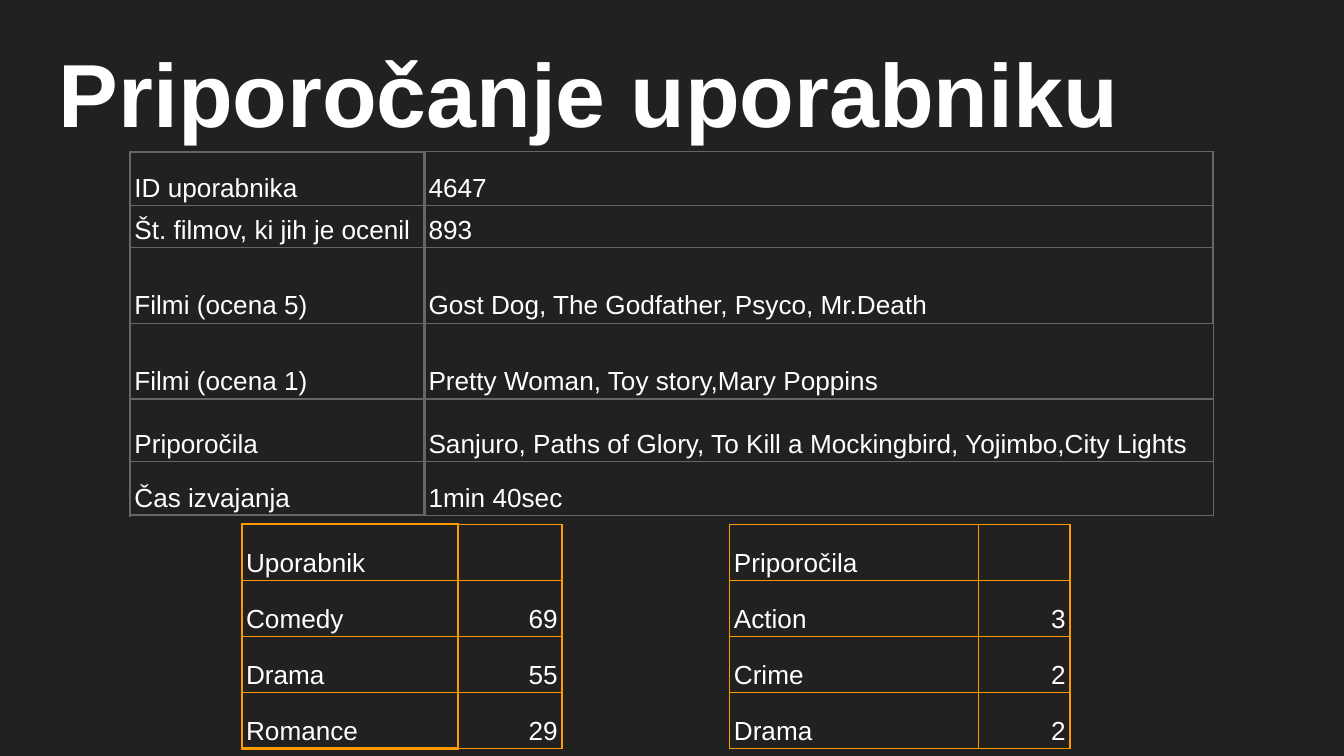
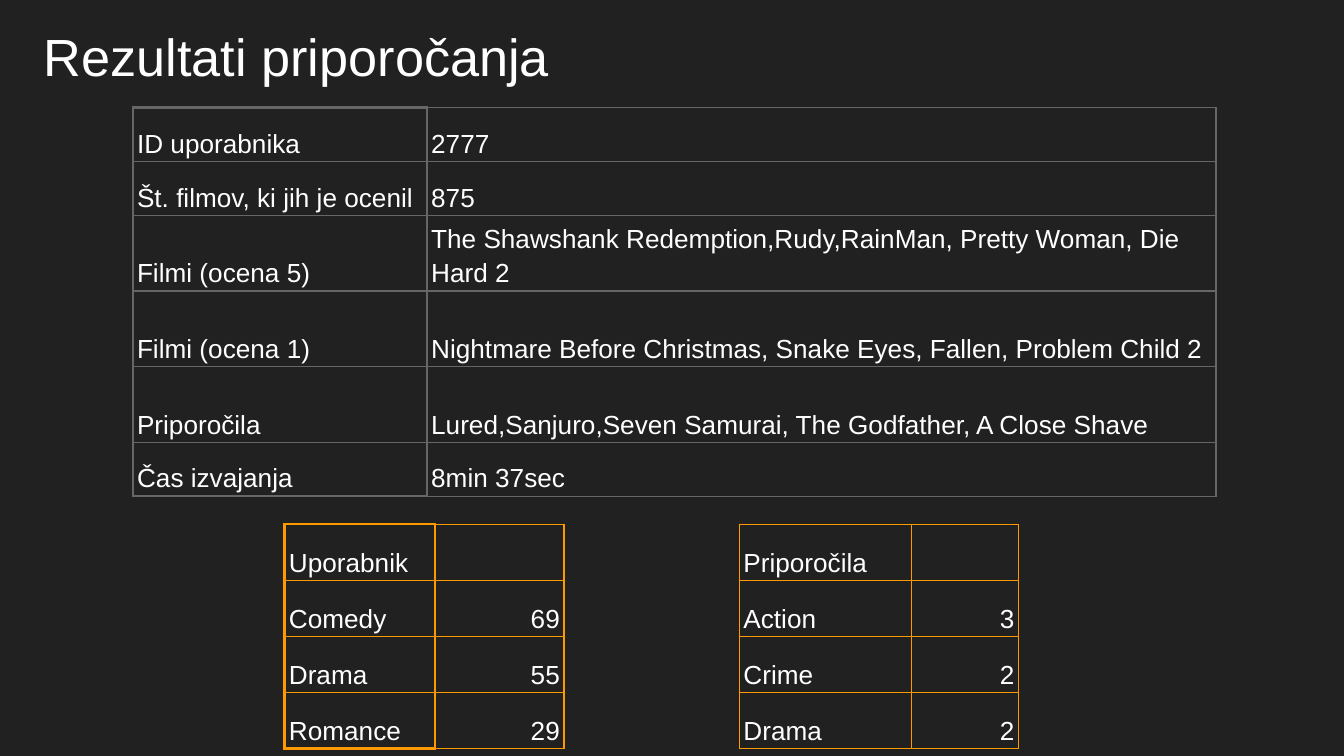
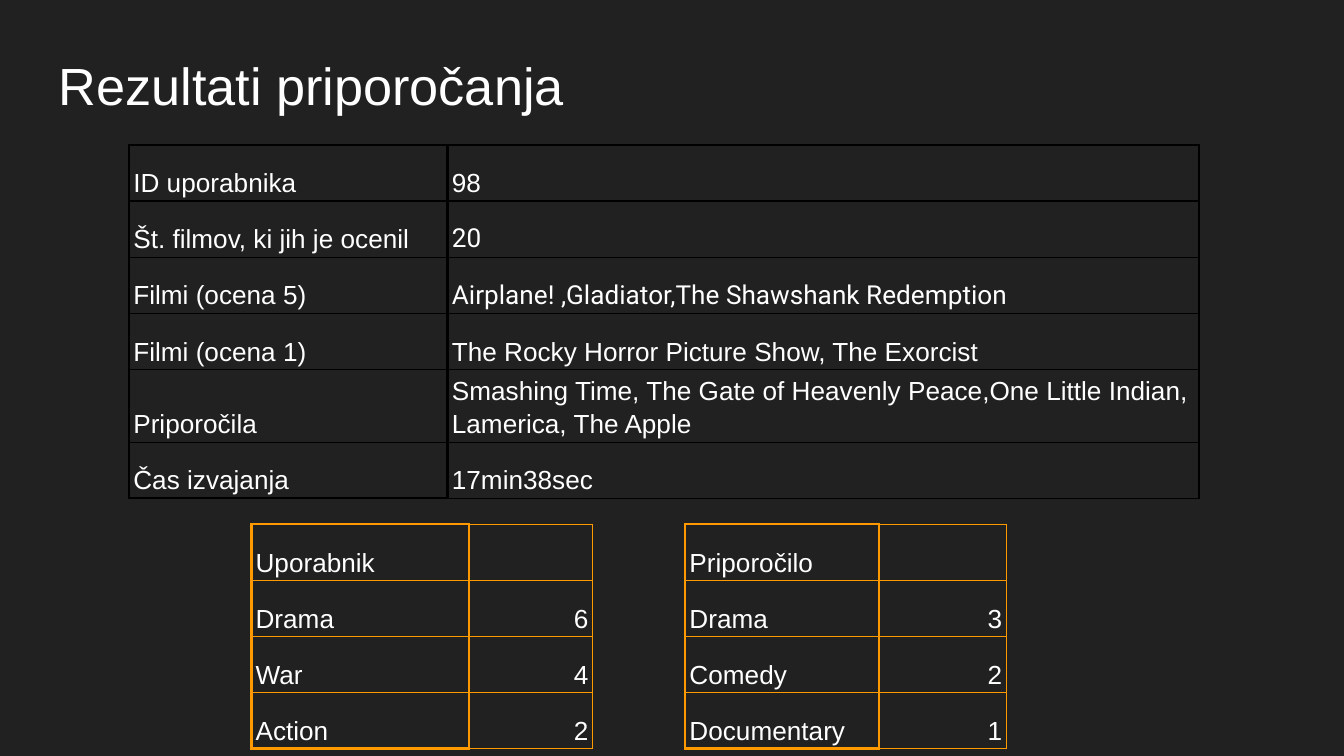
"""Build three slides that show film recommendations and genre counts for single users."""
from dataclasses import dataclass

from lxml.etree import SubElement
from pptx import Presentation
from pptx.dml.color import RGBColor
from pptx.enum.text import MSO_ANCHOR as Anchor, MSO_AUTO_SIZE as AutoSize, PP_ALIGN as Align
from pptx.oxml.ns import qn
from pptx.util import Cm, Pt


@dataclass(frozen=True)
class Theme:
    background: str = "212121"
    text: str = "FFFFFF"
    gray: str = "666666"
    black: str = "000000"
    orange: str = "FF9900"
    font: str = "Arial"
    alternate_font: str = "Roboto"
    heading_size: int = 48
    title_size: int = 28
    cell_size: int = 14
    thin: float = 0.75
    thick: float = 1.5


theme = Theme()


def write_text(frame, text, *, size, font=theme.font, bold=False, align=Align.LEFT, spacing=1.0):
    paragraph = frame.paragraphs[0]
    paragraph.alignment = align
    paragraph.line_spacing = spacing
    if text:
        run = paragraph.add_run()
        run.text = text
        run.font.size = Pt(size)
        run.font.name = font
        run.font.bold = bold
        run.font.color.rgb = RGBColor.from_string(theme.text)


def add_bordered_table(slide, rows, *, left, top, columns, heights, color, boxed=True,
                       thick_right=0, numeric=False, alternate_rows=()):
    table = slide.shapes.add_table(len(rows), len(columns), Cm(left), Cm(top),
                                   Cm(sum(columns)), Cm(sum(heights))).table
    table.first_row = table.horz_banding = False
    for column, width in zip(table.columns, columns):
        column.width = Cm(width)
    label_edge = theme.thick if boxed else theme.thin
    last_row = len(rows) - 1
    for row_index, texts in enumerate(rows):
        table.rows[row_index].height = Cm(heights[row_index])
        for column_index, text in enumerate(texts):
            cell = table.cell(row_index, column_index)
            is_label = column_index == 0
            cell.vertical_anchor = Anchor.BOTTOM
            cell.margin_left = cell.margin_right = Cm(0.08)
            cell.margin_top = cell.margin_bottom = Cm(0.05)
            right_edge = theme.thick if row_index < thick_right else theme.thin
            edges = {
                "a:lnL": label_edge,
                "a:lnR": label_edge if is_label else right_edge,
                "a:lnT": label_edge if is_label and row_index == 0 else theme.thin,
                "a:lnB": label_edge if is_label and row_index == last_row else theme.thin,
            }
            properties = cell._tc.get_or_add_tcPr()
            for tag, width in edges.items():
                line = SubElement(properties, qn(tag), w=str(Pt(width)))
                SubElement(SubElement(line, qn("a:solidFill")), qn("a:srgbClr"), val=color)
            cell.fill.background()
            use_alternate = not is_label and row_index in alternate_rows
            write_text(cell.text_frame, text, size=theme.cell_size, spacing=1.15,
                       font=theme.alternate_font if use_alternate else theme.font,
                       align=Align.RIGHT if numeric and not is_label else Align.LEFT)


labels = ["ID uporabnika", "Št. filmov, ki jih je ocenil", "Filmi (ocena 5)",
          "Filmi (ocena 1)", "Priporočila", "Čas izvajanja"]
genre_style = dict(top=9.91, heights=[1.06] * 4, color=theme.orange, numeric=True)
user_genres = [("Uporabnik", ""), ("Comedy", "69"), ("Drama", "55"), ("Romance", "29")]
recommended_genres = [("Priporočila", ""), ("Action", "3"), ("Crime", "2"), ("Drama", "2")]

pages = [
    dict(
        title="Priporočanje uporabniku", title_at=(0.86, 0.46, 23.67, 2.41),
        title_format=dict(size=theme.heading_size, bold=True),
        details=["4647", "893", "Gost Dog, The Godfather, Psyco, Mr.Death",
                 "Pretty Woman, Toy story,Mary Poppins",
                 "Sanjuro, Paths of Glory, To Kill a Mockingbird, Yojimbo,City Lights",
                 "1min 40sec"],
        details_format=dict(left=2.46, top=2.87, columns=(5.56, 14.91), color=theme.gray,
                            heights=(1.02, 0.79, 1.43, 1.43, 1.18, 1.02), thick_right=3),
        genres=[(user_genres, dict(left=4.57, columns=(4.09, 1.96))),
                (recommended_genres, dict(left=13.79, columns=(4.7, 1.73), boxed=False))],
    ),
    dict(
        title="Rezultati priporočanja", title_at=(0.58, 0.2, 23.67, 1.6),
        title_format=dict(size=theme.title_size),
        details=["2777", "875",
                 "The Shawshank Redemption,Rudy,RainMan, Pretty Woman, Die Hard 2",
                 "Nightmare Before Christmas, Snake Eyes, Fallen, Problem Child 2",
                 "Lured,Sanjuro,Seven Samurai, The Godfather, A Close Shave",
                 "8min 37sec"],
        details_format=dict(left=2.51, top=2.03, columns=(5.56, 14.91), color=theme.gray,
                            heights=(1.02, 1.02, 1.43, 1.43, 1.43, 1.02), thick_right=3),
        genres=[(user_genres, dict(left=5.38, columns=(2.84, 2.44))),
                (recommended_genres, dict(left=13.97, columns=(3.25, 2.03), boxed=False))],
    ),
    dict(
        title="Rezultati priporočanja", title_at=(0.86, 0.76, 23.67, 1.6),
        title_format=dict(size=theme.title_size),
        details=["98", "20", "Airplane! ,Gladiator,The Shawshank Redemption",
                 "The Rocky Horror Picture Show, The Exorcist",
                 "Smashing Time, The Gate of Heavenly Peace,One Little Indian, Lamerica, The Apple",
                 "17min38sec"],
        details_format=dict(left=2.44, top=2.74, columns=(6.02, 14.2), color=theme.black,
                            heights=[1.06] * 6, thick_right=4, alternate_rows=(1, 2)),
        genres=[([("Uporabnik", ""), ("Drama", "6"), ("War", "4"), ("Action", "2")],
                 dict(left=4.75, columns=(4.11, 2.34))),
                ([("Priporočilo", ""), ("Drama", "3"), ("Comedy", "2"), ("Documentary", "1")],
                 dict(left=12.95, columns=(3.66, 2.41)))],
    ),
]

presentation = Presentation()
presentation.slide_width = Cm(25.4)
presentation.slide_height = Cm(14.29)
master_fill = presentation.slide_master.background.fill
master_fill.solid()
master_fill.fore_color.rgb = RGBColor.from_string(theme.background)
title_layout = presentation.slide_layouts.get_by_name("Title Only")

for page in pages:
    slide = presentation.slides.add_slide(title_layout)
    title = slide.shapes.title
    title.left, title.top, title.width, title.height = map(Cm, page["title_at"])
    frame = title.text_frame
    frame.auto_size = AutoSize.NONE
    frame.vertical_anchor = Anchor.TOP
    frame.margin_left = frame.margin_right = frame.margin_top = frame.margin_bottom = Cm(0.25)
    write_text(frame, page["title"], **page["title_format"])
    add_bordered_table(slide, list(zip(labels, page["details"])), **page["details_format"])
    for genre_rows, placement in page["genres"]:
        add_bordered_table(slide, genre_rows, **genre_style, **placement)

presentation.save("out.pptx")
